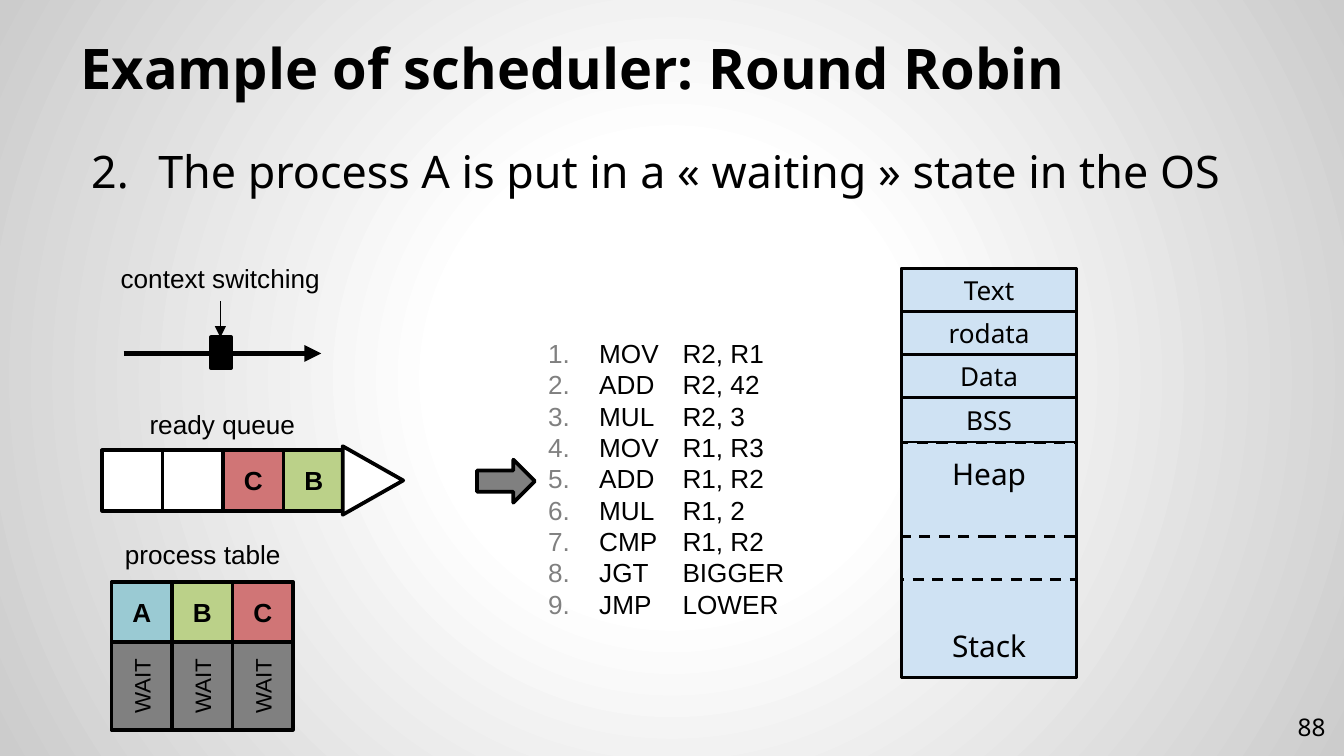
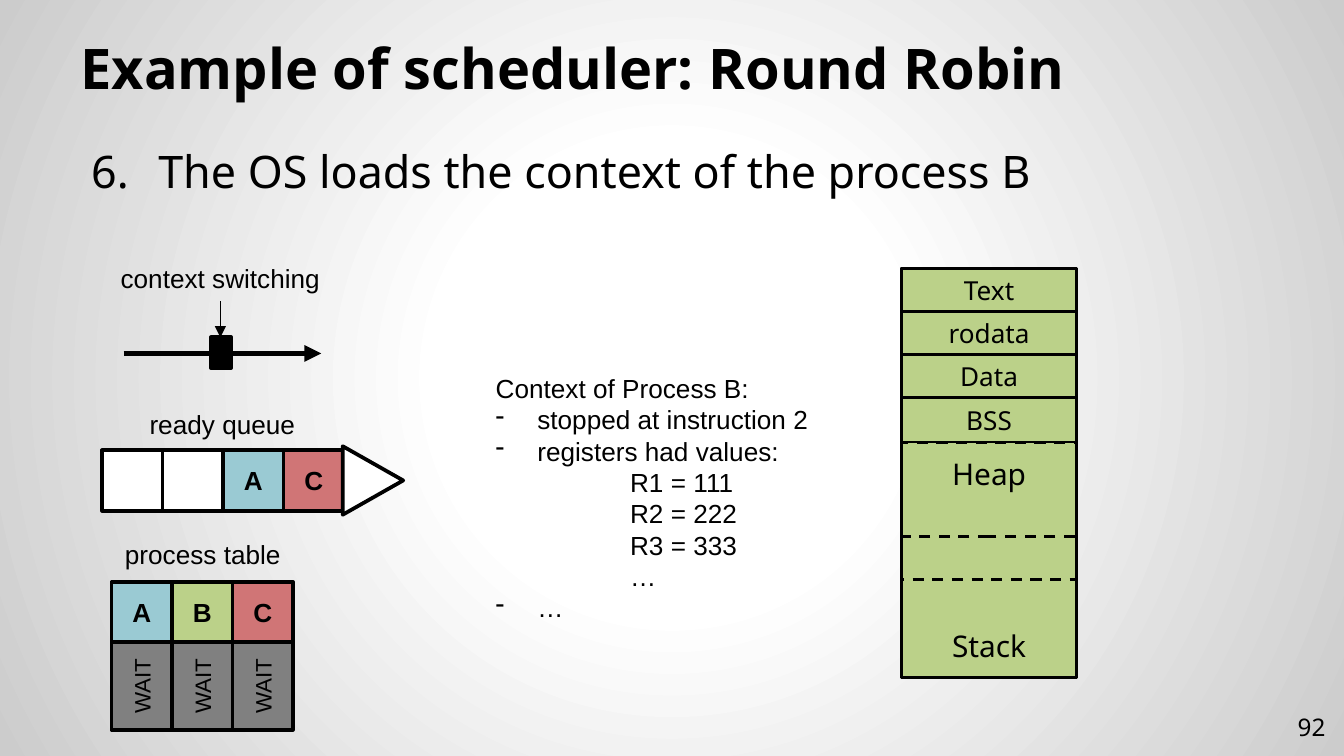
from lxml.etree import SubElement
from pptx import Presentation
from pptx.dml.color import RGBColor
from pptx.enum.dml import MSO_LINE_DASH_STYLE as Dash
from pptx.enum.shapes import MSO_CONNECTOR, MSO_SHAPE as Shape
from pptx.enum.text import MSO_ANCHOR as Anchor, PP_ALIGN as Align
from pptx.oxml import parse_xml
from pptx.oxml.ns import nsdecls, qn
from pptx.util import Inches, Pt

BLACK = RGBColor(0x00, 0x00, 0x00)
WHITE = RGBColor(0xFF, 0xFF, 0xFF)
GREY = RGBColor(0x80, 0x80, 0x80)
SILVER = RGBColor(0xCC, 0xCC, 0xCC)
TEAL = RGBColor(0x9A, 0xCA, 0xD3)
GREEN = RGBColor(0xBB, 0xD1, 0x89)
RED = RGBColor(0xD0, 0x75, 0x76)
BLUE = RGBColor(0xCF, 0xE2, 0xF3)

HEAD_FONT, DIAGRAM_FONT = "Noto Sans", "Arial"
WIDTH = 10
HEIGHT = WIDTH * 9 / 16
MARGIN = 0.05 * WIDTH
CELL = 0.45
PROCESS_COLOURS = {"A": TEAL, "B": GREEN, "C": RED, "": WHITE}

TITLE = "Example of scheduler: Round Robin"
MEMORY_SECTIONS = [
    ("Text", 0.32, 14, Anchor.MIDDLE, None),
    ("rodata", 0.32, 14, Anchor.MIDDLE, None),
    ("Data", 0.32, 14, Anchor.MIDDLE, None),
    ("BSS", 0.33, 14, Anchor.MIDDLE, None),
    ("Heap", 0.7, 16, Anchor.TOP, Dash.DASH),
    (None, 0.32, None, None, None),
    ("Stack", 0.73, 16, Anchor.BOTTOM, Dash.DASH),
]
INSTRUCTIONS = [
    "MOV\tR2, R1", "ADD\tR2, 42", "MUL\tR2, 3",
    "MOV\tR1, R3", "ADD\tR1, R2", "MUL\tR1, 2",
    "CMP\tR1, R2", "JGT\tBIGGER", "JMP\tLOWER",
]
CONTEXT = [
    ("Context of Process B:", False),
    ("stopped at instruction 2", True),
    ("registers had values:", True),
    ("\tR1 = 111", False),
    ("\tR2 = 222", False),
    ("\tR3 = 333", False),
    ("\t…", False),
    ("…", True),
]
SLIDES = [
    dict(number=88, step=2, queue=["", "", "C", "B"], memory=BLUE, middle="program",
         text="The process A is put in a «\u00a0waiting\u00a0» state in the OS"),
    dict(number=92, step=6, queue=["", "", "A", "C"], memory=GREEN, middle="context",
         text="The OS loads the context of the process B"),
]


def add_background(page):
    stops = "".join(
        f'<a:gs pos="{share * 1000}"><a:srgbClr val="{colour}"/></a:gs>'
        for share, colour in [(0, WHITE), (30, WHITE), (100, SILVER)])
    page._element.cSld.insert(0, parse_xml(
        f'<p:bg {nsdecls("p", "a")}><p:bgPr><a:gradFill>'
        f'<a:gsLst>{stops}</a:gsLst><a:path path="circle">'
        '<a:fillToRect l="50000" t="50000" r="50000" b="50000"/></a:path>'
        '</a:gradFill><a:effectLst/></p:bgPr></p:bg>'))


def set_bullet(para, hanging, colour, mark=None, start=1, left=None):
    props = para._p.get_or_add_pPr()
    props.set("marL", str(Inches(left or hanging)))
    props.set("indent", str(-Inches(hanging)))
    tint = SubElement(props, qn("a:buClr"))
    SubElement(tint, qn("a:srgbClr"), val=str(colour))
    if mark:
        SubElement(props, qn("a:buChar"), char=mark)
    else:
        number = SubElement(props, qn("a:buAutoNum"), type="arabicPeriod")
        if start > 1:
            number.set("startAt", str(start))


def set_tab(para, position):
    stops = SubElement(para._p.get_or_add_pPr(), qn("a:tabLst"))
    SubElement(stops, qn("a:tab"), pos=str(Inches(position)), algn="l")


def style(para, size, font=DIAGRAM_FONT, bold=False, align=None):
    para.alignment = align
    para.font.size = Pt(size)
    para.font.name = font
    para.font.bold = bold
    para.font.color.rgb = BLACK


def set_inset(frame, inset=0.1):
    frame.margin_left = frame.margin_right = Inches(inset)
    frame.margin_top = frame.margin_bottom = Inches(inset)


def add_box(canvas, left, top, width, height, lines, anchor=Anchor.TOP, inset=None):
    box = canvas.add_textbox(*map(Inches, (left, top, width, height)))
    frame = box.text_frame
    frame.word_wrap = True
    frame.vertical_anchor = anchor
    if inset:
        set_inset(frame, inset)
    for index, line in enumerate(lines):
        para = frame.paragraphs[0] if index == 0 else frame.add_paragraph()
        para.add_run().text = line
    return box


def add_label(canvas, left, top, width, text):
    box = add_box(canvas, left, top, width, 0.34, [text])
    style(box.text_frame.paragraphs[0], 14, align=Align.CENTER)


def add_figure(canvas, kind, left, top, width, height, fill, weight=2):
    figure = canvas.add_shape(kind, *map(Inches, (left, top, width, height)))
    figure.shadow.inherit = False
    if fill is None:
        figure.fill.background()
    else:
        figure.fill.solid()
        figure.fill.fore_color.rgb = fill
    figure.line.color.rgb = BLACK
    figure.line.width = Pt(weight)
    return figure


def add_process(canvas, left, top, name):
    cell = add_figure(canvas, Shape.RECTANGLE, left, top, CELL, CELL, PROCESS_COLOURS[name])
    if name:
        cell.text_frame.text = name
        cell.text_frame.vertical_anchor = Anchor.MIDDLE
        style(cell.text_frame.paragraphs[0], 14, bold=True, align=Align.CENTER)


def add_arrow(canvas, start, end, weight):
    arrow = canvas.add_connector(MSO_CONNECTOR.STRAIGHT, *map(Inches, start + end))
    arrow.line.color.rgb = BLACK
    arrow.line.width = Pt(weight)
    SubElement(arrow.line._get_or_add_ln(), qn("a:tailEnd"), type="triangle")
    SubElement(arrow._element.spPr, qn("a:effectLst"))


def add_frame(page, number, step, text):
    title = add_box(page.shapes, MARGIN, 0.23, WIDTH - 2 * MARGIN, 0.62,
                    [TITLE], Anchor.BOTTOM, 0.1)
    style(title.text_frame.paragraphs[0], 30, HEAD_FONT, bold=True)
    body = add_box(page.shapes, MARGIN, 0.97, WIDTH - 2 * MARGIN, 4.41, [text], inset=0.1)
    para = body.text_frame.paragraphs[0]
    set_bullet(para, 0.5, BLACK, start=step, left=0.58)
    style(para, 24, HEAD_FONT)
    footer = add_box(page.shapes, 9.36, 5.19, 0.6, 0.43, [str(number)], Anchor.MIDDLE, 0.1)
    style(footer.text_frame.paragraphs[0], 13, HEAD_FONT, align=Align.RIGHT)


def add_switching(page):
    canvas = page.shapes.add_group_shape().shapes
    add_arrow(canvas, (0.92, 2.63), (2.39, 2.63), 3)
    add_figure(canvas, Shape.RECTANGLE, 1.57, 2.51, 0.15, 0.23, BLACK)
    add_label(canvas, 0.77, 1.9, 1.74, "context switching")
    add_arrow(canvas, (1.64, 2.24), (1.64, 2.51), 0.75)


def add_queue(page, names, left=0.76, top=3.35):
    canvas = page.shapes.add_group_shape().shapes
    for column, name in enumerate(names):
        add_process(canvas, left + column * CELL, top, name)
    tip = add_figure(canvas, Shape.ISOSCELES_TRIANGLE, 2.52, top, 0.51, CELL, WHITE)
    tip.rotation = 90
    add_label(canvas, 0.82, 2.99, 1.67, "ready queue")


def add_process_table(page, left=0.83, top=4.33, state_height=0.65, label_height=0.3):
    canvas = page.shapes.add_group_shape().shapes
    add_label(canvas, 0.66, 3.96, 1.7, "process table")
    state_top = top + CELL
    for column, name in enumerate("ABC"):
        x = left + column * CELL
        add_process(canvas, x, top, name)
        add_figure(canvas, Shape.RECTANGLE, x, state_top, CELL, state_height, GREY)
        state = add_box(canvas, x + (CELL - state_height) / 2,
                        state_top + (state_height - label_height) / 2,
                        state_height, label_height, ["WAIT"])
        state.rotation = 270
        state.text_frame.word_wrap = False
        style(state.text_frame.paragraphs[0], 12, align=Align.CENTER)


def add_memory(page, colour, left=6.71, top=2, width=1.3):
    canvas = page.shapes.add_group_shape().shapes
    total = sum(section[1] for section in MEMORY_SECTIONS)
    add_figure(canvas, Shape.RECTANGLE, left, top, width, total, colour, 1.5)
    bottom = top + total
    for name, height, size, anchor, dash in reversed(MEMORY_SECTIONS):
        bottom -= height
        if name is None:
            continue
        part = add_figure(canvas, Shape.RECTANGLE, left, bottom, width, height, colour, 1.5)
        part.line.dash_style = dash
        part.text_frame.text = name
        part.text_frame.vertical_anchor = anchor
        set_inset(part.text_frame)
        style(part.text_frame.paragraphs[0], size, HEAD_FONT, align=Align.CENTER)
    add_figure(canvas, Shape.RECTANGLE, left, top, width, total, None, 1.5)


def add_program(page):
    canvas = page.shapes.add_group_shape().shapes
    listing = add_box(canvas, 3.98, 2.46, 2.29, 2.22, INSTRUCTIONS)
    for para in listing.text_frame.paragraphs:
        set_bullet(para, 0.38, GREY)
        style(para, 14)
    add_figure(canvas, Shape.RIGHT_ARROW, 3.55, 3.42, 0.43, 0.32, GREY)


def add_context(page):
    box = add_box(page.shapes, 3.59, 2.72, 2.9, 1.99, [line for line, _ in CONTEXT])
    for para, (line, bulleted) in zip(box.text_frame.paragraphs, CONTEXT):
        if bulleted:
            set_bullet(para, 0.31, BLACK, mark="-")
        elif line.startswith("\t"):
            set_tab(para, 1)
        style(para, 14)


def main():
    deck = Presentation()
    deck.slide_width, deck.slide_height = Inches(WIDTH), Inches(HEIGHT)
    middles = {"program": add_program, "context": add_context}
    for content in SLIDES:
        page = deck.slides.add_slide(deck.slide_layouts[6])
        add_background(page)
        add_frame(page, content["number"], content["step"], content["text"])
        add_queue(page, content["queue"])
        add_process_table(page)
        add_switching(page)
        middles[content["middle"]](page)
        add_memory(page, content["memory"])
    deck.save("out.pptx")


if __name__ == "__main__":
    main()
